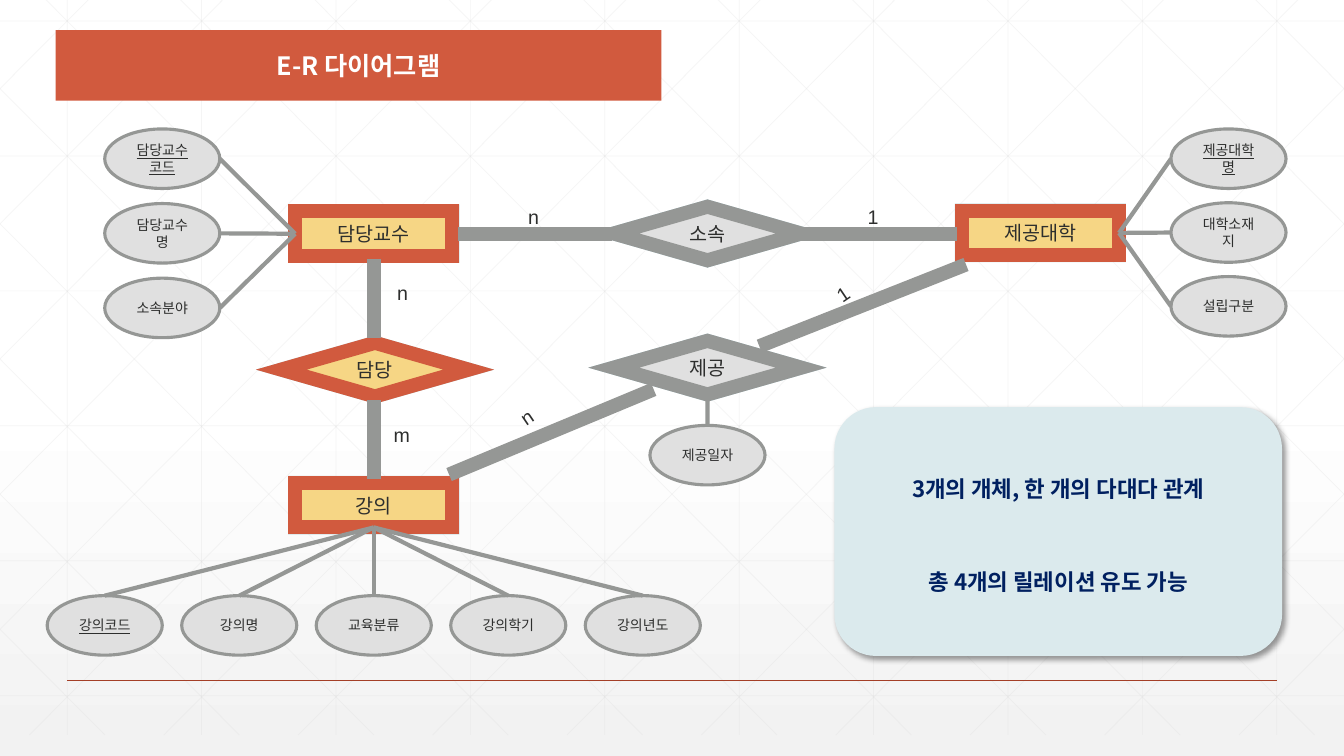
from lxml.etree import SubElement
from pptx import Presentation
from pptx.dml.color import RGBColor
from pptx.enum.shapes import MSO_CONNECTOR, MSO_SHAPE as SHAPE
from pptx.enum.text import MSO_ANCHOR, PP_ALIGN
from pptx.oxml.ns import qn
from pptx.util import Cm, Pt

COLORS = {
    "red": "D15A3E", "yellow": "F6D685", "gray": "959795", "silver": "E0E0E0",
    "text": "2D2E2D", "white": "FFFFFF", "navy": "002060", "pale": "DBEAED",
    "grid": "D9D9D9", "rule": "A43F27", "bottom": "F2F2F2",
    "teal": "4F91A1", "black": "000000",
}
KOREAN, LATIN = "Noto Sans CJK KR", "Arial"
WIDTH, HEIGHT = 33.87, 19.05
TOP, LEFT, BOTTOM, RIGHT = range(4)


def rgb(name):
    return RGBColor.from_string(COLORS[name])


class Diagram:
    """Holds the style and the current slide; all lengths are in cm."""

    def __init__(self, slide):
        self.slide = slide

    def background(self):
        fill = self.slide.background.fill
        fill.gradient()
        fill.gradient_angle = 270
        for stop, color, position in zip(fill.gradient_stops, ("white", "bottom"), (0.53, 1)):
            stop.color.rgb = rgb(color)
            stop.position = position

    def text(self, s, text, size, color="text", font=KOREAN, bold=None, underline=None):
        tf = s.text_frame
        tf.word_wrap = True
        tf.text = text
        for p in tf.paragraphs:
            p.alignment = PP_ALIGN.CENTER
            p.font.size = Pt(size)
            p.font.bold = bold
            p.font.underline = underline
            p.font.color.rgb = rgb(color)
            p.font.name = font
            SubElement(p.font._element, qn("a:ea"), typeface=font)
        return tf

    def shape(self, kind, x, y, w, h, fill, line=None, weight=0):
        s = self.slide.shapes.add_shape(kind, Cm(x), Cm(y), Cm(w), Cm(h))
        s.shadow.inherit = False
        s.fill.solid()
        s.fill.fore_color.rgb = rgb(fill)
        if line:
            s.line.color.rgb = rgb(line)
            s.line.width = Pt(weight)
            SubElement(s.line._get_or_add_ln(), qn("a:miter"), lim="800000")
        else:
            s.line.fill.background()
        s.text_frame.vertical_anchor = MSO_ANCHOR.MIDDLE
        return s

    def shadow(self, s, color, alpha, blur, distance, angle):
        effects = s._element.spPr.find(qn("a:effectLst"))
        outer = SubElement(effects, qn("a:outerShdw"), blurRad=str(Pt(blur)),
                           dist=str(Pt(distance)), dir=str(angle * 60000))
        tint = SubElement(outer, qn("a:srgbClr"), val=COLORS[color])
        SubElement(tint, qn("a:alpha"), val=str(alpha * 1000))

    def node(self, kind, x, y, w, h, text, fill, line):
        s = self.shape(kind, x, y, w, h, fill, line, 10)
        self.shadow(s, "teal", 43, 0, 0, 90)
        self.text(s, text, 14)
        return s

    def entity(self, x, y, text):
        return self.node(SHAPE.RECTANGLE, x, y, 3.96, 1.12, text, "yellow", "red")

    def relation(self, x, y, text, fill="silver", line="gray"):
        return self.node(SHAPE.DIAMOND, x, y, 4.72, 1.35, text, fill, line)

    def attribute(self, x, y, text, key=None):
        s = self.shape(SHAPE.OVAL, x, y, 2.9, 1.5, "silver", "gray", 2.25)
        self.text(s, text, 10, underline=key)

    def line(self, x1, y1, x2, y2, color="gray", weight=3.0, alpha=None):
        c = self.slide.shapes.add_connector(
            MSO_CONNECTOR.STRAIGHT, Cm(x1), Cm(y1), Cm(x2), Cm(y2))
        c.line.color.rgb = rgb(color)
        c.line.width = Pt(weight)
        if alpha:
            tint = c.line._get_or_add_ln().find(".//" + qn("a:srgbClr"))
            SubElement(tint, qn("a:alpha"), val=str(alpha * 1000))
        SubElement(c._element.spPr, qn("a:effectLst"))
        return c

    def link(self, x1, y1, x2, y2):
        """Thick line between an entity and a relation."""
        c = self.line(x1, y1, x2, y2, weight=10)
        c.line._get_or_add_ln().set("cap", "sq")

    def spoke(self, x, y, owner, side):
        """Thin line from an attribute to a side of its owner."""
        self.line(x, y, x, y).end_connect(owner, side)

    def label(self, x, y, text, rotation=0):
        s = self.slide.shapes.add_textbox(Cm(x), Cm(y), Cm(1.65), Cm(0.86))
        s.rotation = rotation
        self.text(s, text, 14, font=LATIN)

    def grid(self):
        top, bottom, run, pitch = -0.53, 18.52, 18.94, WIDTH / 10
        slope = (bottom - top) / run
        rays = []
        for i in range(10):
            x = pitch * (i + 0.5)
            rays.append((x, top, x, bottom))
        for i in range(6):
            y = 0.53 + 3.4 * i
            rays.append((0, y, WIDTH, y))
        for i in range(-5, 10):
            x = 0.64 + pitch * i
            x1, x2 = max(x, 0), min(x + run, WIDTH)
            y1, y2 = (top + (end - x) * slope for end in (x1, x2))
            rays += [(x1, y1, x2, y2), (WIDTH - x1, y1, WIDTH - x2, y2)]
        for ray in rays:
            self.line(*ray, color="grid", weight=0.5, alpha=25)

    def title(self, text):
        s = self.shape(SHAPE.RECTANGLE, 1.4, 0.76, 15.27, 1.78, "red")
        self.text(s, text, 18, "white", bold=True)

    def summary(self, text):
        s = self.shape(SHAPE.ROUNDED_RECTANGLE, 21.03, 10.26, 11.28, 6.27, "pale")
        self.shadow(s, "black", 40, 4, 3, 45)
        tf = self.text(s, text, 16, "navy", bold=True)
        tf.margin_top = Cm(0.4)
        for p in tf.paragraphs:
            p.line_spacing = 0.9
        tf.paragraphs[-1].space_before = Pt(49)


def main():
    prs = Presentation()
    prs.slide_width, prs.slide_height = Cm(WIDTH), Cm(HEIGHT)
    d = Diagram(prs.slides.add_slide(prs.slide_layouts[6]))
    d.background()
    d.grid()
    d.line(1.69, 17.15, 32.17, 17.15, "rule", 1)
    d.title("E-R 다이어그램")

    professor = d.entity(7.44, 5.33, "담당교수")
    d.relation(15.47, 5.21, "소속")
    college = d.entity(24.24, 5.31, "제공대학")
    lecture = d.entity(7.44, 12.17, "강의")
    d.relation(7.09, 8.64, "담당", "yellow", "red")
    offer = d.relation(15.47, 8.59, "제공")

    for ends, label in (
        ((11.73, 5.89, 15.24, 5.89), (12.62, 5.05, "n")),
        ((20.37, 5.89, 23.93, 5.89), (21.18, 5.05, "1")),
        ((9.42, 6.71, 9.42, 8.33), (9.32, 6.96, "n")),
        ((9.42, 10.26, 9.42, 11.89), (9.3, 10.52, "m")),
        ((16.31, 9.88, 11.48, 11.89), (12.45, 10.08, "n", 326)),
        ((24.18, 6.73, 19.3, 8.66), (20.42, 6.99, "1", 326)),
    ):
        d.link(*ends)
        d.label(*label)

    for i, text in enumerate(("담당교수\n코드", "담당교수명", "소속분야")):
        y = 3.25 + 1.88 * i
        d.attribute(2.64, y, text, key=i == 0)
        d.spoke(5.54, y + 0.75, professor, LEFT)
    for i, text in enumerate(("강의코드", "강의명", "교육분류", "강의학기", "강의년도")):
        x = 1.19 + 3.39 * i
        d.attribute(x, 15.01, text, key=i == 0)
        d.spoke(x + 1.45, 15.01, lecture, BOTTOM)
    for i, text in enumerate(("제공대학명", "대학소재지", "설립구분")):
        y = 3.25 + 1.86 * i
        d.attribute(29.51, y, text, key=i == 0)
        d.spoke(29.51, y + 0.75, college, RIGHT)
    d.attribute(16.38, 10.72, "제공일자")
    d.spoke(17.83, 10.72, offer, BOTTOM)

    d.summary("3개의 개체, 한 개의 다대다 관계\n총 4개의 릴레이션 유도 가능")
    prs.save("out.pptx")


if __name__ == "__main__":
    main()
